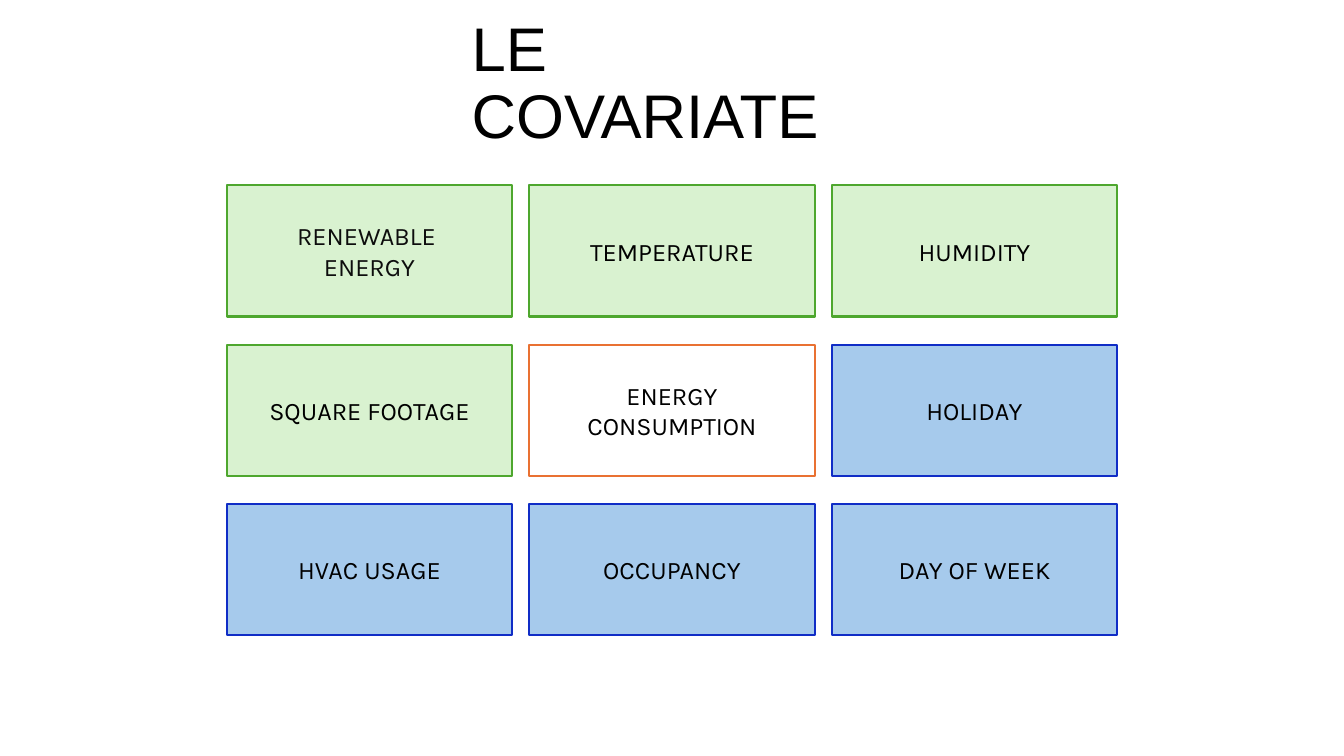
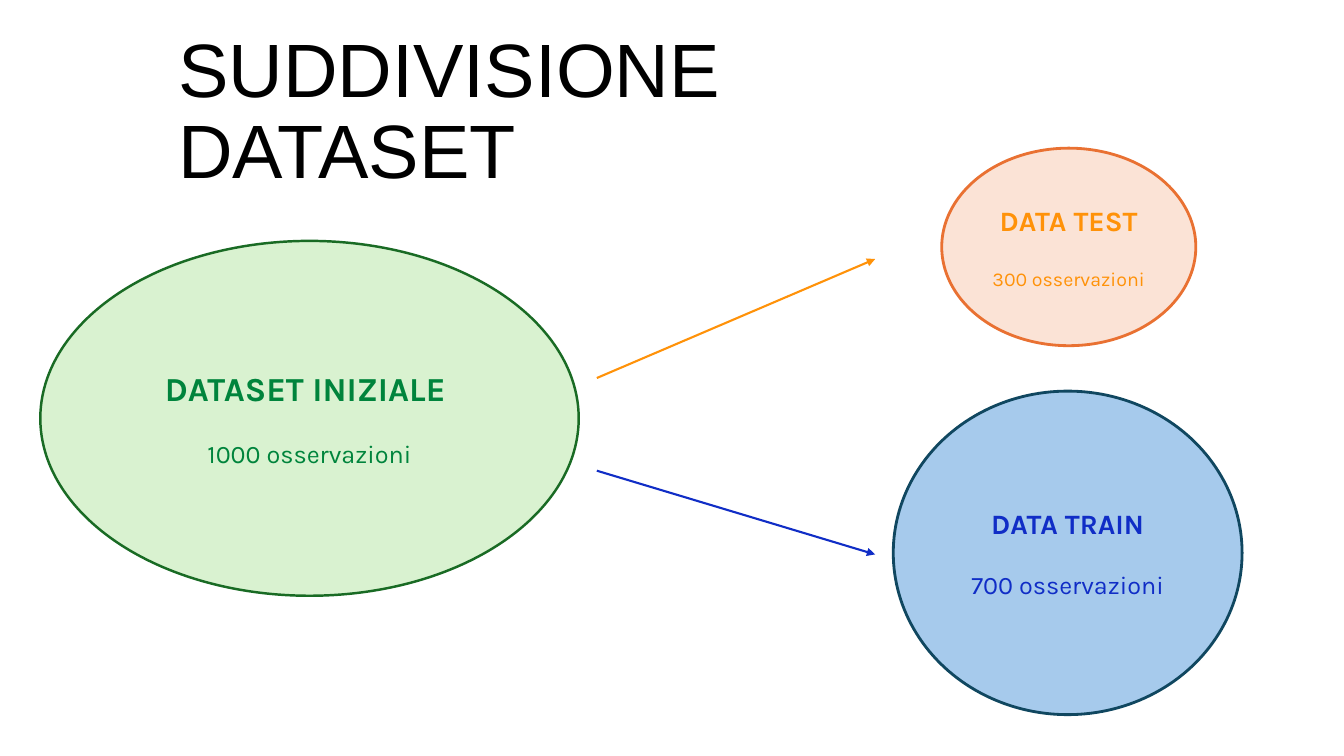
"""Build two slides: the grid of covariates and the split of the dataset."""
from dataclasses import dataclass

from lxml.etree import SubElement
from pptx import Presentation
from pptx.dml.color import RGBColor
from pptx.enum.shapes import MSO_CONNECTOR, MSO_SHAPE
from pptx.enum.text import MSO_ANCHOR, PP_ALIGN
from pptx.oxml.ns import qn
from pptx.util import Inches, Pt


@dataclass(frozen=True)
class Theme:
    title_font: str = "Arial"
    body_font: str = "Karla"
    black: str = "000000"
    soft_black: str = "0D0D0D"
    white: str = "FFFFFF"
    pale_green: str = "D9F2D0"
    green: str = "4EA72E"
    dark_green: str = "196B24"
    text_green: str = "00843C"
    pale_orange: str = "FBE3D6"
    orange: str = "E97132"
    bright_orange: str = "FF9209"
    pale_blue: str = "A6CAEC"
    blue: str = "102DC6"
    dark_blue: str = "104760"
    label: int = 18
    small: int = 14
    heading: int = 20
    large_heading: int = 24
    thin: float = 1.5
    medium: float = 1.75
    thick: float = 2
    paragraph_gap: int = 21


THEME = Theme()

TITLES = [
    ("LE COVARIATE", (4.58, 0.12, 4.17, 1.45), 44),
    ("SUDDIVISIONE DATASET", (1.67, 0.4, 8.51, 1.45), 54),
]

GROUPS = {
    "numeric": (THEME.pale_green, THEME.green),
    "response": (THEME.white, THEME.orange),
    "categorical": (THEME.pale_blue, THEME.blue),
}
COVARIATES = [
    [(("RENEWABLE ", "ENERGY"), "numeric", THEME.soft_black),
     (("TEMPERATURE",), "numeric", THEME.black),
     (("HUMIDITY",), "numeric", THEME.black)],
    [(("SQUARE FOOTAGE",), "numeric", THEME.black),
     (("ENERGY CONSUMPTION",), "response", THEME.black),
     (("HOLIDAY",), "categorical", THEME.black)],
    [(("HVAC USAGE",), "categorical", THEME.black),
     (("OCCUPANCY",), "categorical", THEME.black),
     (("DAY OF WEEK",), "categorical", THEME.black)],
]
GRID_LEFT, GRID_TOP = 2.25, 1.84
CELL_WIDTH, CELL_HEIGHT = 2.83, 1.3
COLUMN_STEP, ROW_STEP = 3, 1.58

DATASETS = [
    {"heading": ("DATASET INIZIALE ", THEME.large_heading),
     "count": ("1000 osservazioni", THEME.label),
     "box": (0.4, 2.39, 5.34, 3.52), "ink": THEME.text_green,
     "fill": THEME.pale_green, "outline": (THEME.dark_green, THEME.medium)},
    {"heading": ("DATA TEST", THEME.heading),
     "count": ("300 osservazioni", THEME.small),
     "box": (9.34, 1.47, 2.52, 1.96), "ink": THEME.bright_orange,
     "fill": THEME.pale_orange, "outline": (THEME.orange, THEME.thick)},
    {"heading": ("DATA TRAIN", THEME.heading),
     "count": ("700 osservazioni", THEME.label),
     "box": (8.86, 3.88, 3.46, 3.21), "ink": THEME.blue,
     "fill": THEME.pale_blue, "outline": (THEME.dark_blue, THEME.thick)},
]
ARROWS = [
    ((5.92, 3.75), (8.68, 2.57), THEME.bright_orange),
    ((5.92, 4.67), (8.68, 5.5), THEME.blue),
]


def inches(values):
    return [Inches(value) for value in values]


def apply(target, formats):
    for attribute, value in formats.items():
        setattr(target, attribute, value)


def write(frame, paragraphs, paragraph_format):
    apply(frame, {"word_wrap": True, "vertical_anchor": MSO_ANCHOR.MIDDLE})
    for index, (text, color, font_format, extra) in enumerate(paragraphs):
        paragraph = frame.add_paragraph() if index else frame.paragraphs[0]
        apply(paragraph, {**paragraph_format, **extra})
        run = paragraph.add_run()
        run.text = text
        apply(run.font, font_format)
        run.font.color.rgb = RGBColor.from_string(color)


def draw_line(line, color, width):
    line.color.rgb = RGBColor.from_string(color)
    line.width = Pt(width)


def add_title(slide, title, box, size):
    frame = slide.shapes.add_textbox(*inches(box)).text_frame
    font_format = {"name": THEME.title_font, "size": Pt(size)}
    write(frame, [(title, THEME.black, font_format, {})],
          {"alignment": PP_ALIGN.LEFT, "line_spacing": 0.9})


def add_panel(slide, preset, box, fill, outline, paragraphs):
    panel = slide.shapes.add_shape(preset, *inches(box))
    panel.shadow.inherit = False
    panel.fill.solid()
    panel.fill.fore_color.rgb = RGBColor.from_string(fill)
    draw_line(panel.line, *outline)
    write(panel.text_frame, paragraphs, {"alignment": PP_ALIGN.CENTER})


def add_arrow(slide, start, end, color):
    arrow = slide.shapes.add_connector(
        MSO_CONNECTOR.STRAIGHT, *inches(start + end))
    draw_line(arrow.line, color, THEME.thin)
    SubElement(arrow.line._get_or_add_ln(), qn("a:tailEnd"), type="triangle")
    SubElement(arrow._element.spPr, qn("a:effectLst"))


def body(size, bold=False):
    return {"name": THEME.body_font, "size": Pt(size), "bold": bold}


def add_covariates(slide):
    for row, covariates in enumerate(COVARIATES):
        for column, (lines, group, ink) in enumerate(covariates):
            fill, outline = GROUPS[group]
            box = (GRID_LEFT + column * COLUMN_STEP, GRID_TOP + row * ROW_STEP,
                   CELL_WIDTH, CELL_HEIGHT)
            paragraphs = [(line, ink, body(THEME.label), {}) for line in lines]
            add_panel(slide, MSO_SHAPE.RECTANGLE, box, fill,
                      (outline, THEME.thin), paragraphs)


def add_split(slide):
    for dataset in DATASETS:
        heading, heading_size = dataset["heading"]
        count, count_size = dataset["count"]
        paragraphs = [
            (heading, dataset["ink"], body(heading_size, True), {}),
            (count, dataset["ink"], body(count_size),
             {"space_before": Pt(THEME.paragraph_gap)}),
        ]
        add_panel(slide, MSO_SHAPE.OVAL, dataset["box"], dataset["fill"],
                  dataset["outline"], paragraphs)
    for arrow in ARROWS:
        add_arrow(slide, *arrow)


def main():
    deck = Presentation()
    apply(deck, {"slide_width": Inches(13.33), "slide_height": Inches(7.5)})
    for title, add_content in zip(TITLES, (add_covariates, add_split)):
        slide = deck.slides.add_slide(deck.slide_layouts[6])
        add_title(slide, *title)
        add_content(slide)
    deck.save("out.pptx")


if __name__ == "__main__":
    main()
